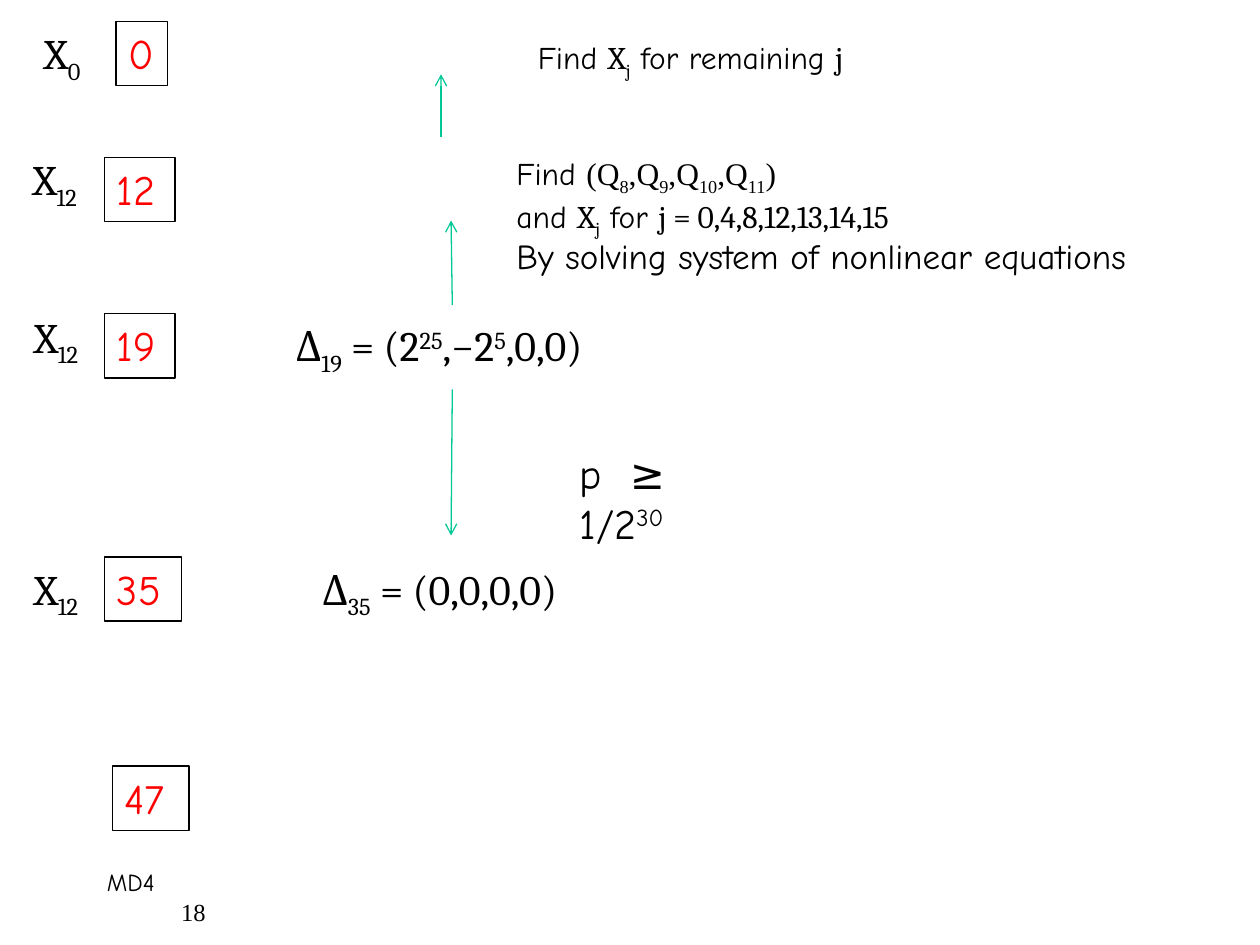
from pptx import Presentation
from pptx.dml.color import RGBColor
from pptx.enum.shapes import MSO_CONNECTOR as Conn, MSO_SHAPE as Shape
from pptx.enum.text import MSO_ANCHOR as Anchor, PP_ALIGN as Align
from pptx.oxml.ns import qn
from pptx.util import Inches, Pt
from lxml.etree import SubElement

BLACK = RGBColor(0, 0, 0)
RED = RGBColor(255, 0, 0)
GREEN = RGBColor(0, 200, 150)
COMIC, CAMB, TIMES = "Comic Neue", "Cambria", "Times New Roman"
SUB, SUP = -25, 30

# step number: left, top, width
STEPS = [
    ("0", 0.92, 0.17, 0.41),
    ("12", 0.83, 1.25, 0.56),
    ("19", 0.83, 2.49, 0.56),
    ("35", 0.83, 4.42, 0.61),
    ("47", 0.89, 6.08, 0.61),
]
# index of X: left, top, width
INPUTS = [
    ("0", 0.25, 0.17, 0.55),
    ("12", 0.16, 1.17, 0.68),
    ("12", 0.17, 2.42, 0.68),
    ("12", 0.17, 4.42, 0.68),
]
# from, to
ARROWS = [
    ((3.5, 1.09), (3.5, 0.59)),
    ((3.59, 2.42), (3.58, 1.75)),
    ((3.59, 3.09), (3.58, 4.25)),
]
XJ = [("X", CAMB), ("j", CAMB, SUB)]
QS = [("(Q", TIMES), ("8", TIMES, SUB), (",Q", TIMES), ("9", TIMES, SUB),
      (",Q", TIMES), ("10", TIMES, SUB), (",Q", TIMES), ("11", TIMES, SUB),
      (")", TIMES)]
# place, text size, paragraphs of (text, font, baseline)
NOTES = [
    ((4.17, 0.25, 2.85, 0.4), 18,
     [[("Find ", COMIC), *XJ, (" for remaining ", COMIC), ("j", CAMB)]]),
    ((4, 1.17, 5.25, 0.71), 18,
     [[("Find ", COMIC), *QS],
      [("and ", COMIC), *XJ, (" for ", COMIC),
       ("j = 0,4,8,12,13,14,15", CAMB)]]),
    ((4, 1.81, 5.83, 0.44), 20,
     [[("By solving system of nonlinear equations", COMIC)]]),
    ((2.25, 2.49, 2.95, 0.51), 24,
     [[("Δ", CAMB), ("19", CAMB, SUB), (" = (2", CAMB), ("25", CAMB, SUP),
       (",−2", CAMB), ("5", CAMB, SUP), (",0,0)", CAMB)]]),
    ((2.46, 4.42, 2.29, 0.51), 24,
     [[("Δ", CAMB), ("35", CAMB, SUB), (" = (0,0,0,0)", CAMB)]]),
    ((0.75, 6.83, 1.5, 0.3), 14, [[("MD4", COMIC)]]),
    ((1.34, 7.07, 0.6, 0.3), 14, [[("18", TIMES)]]),
]
ODDS = [[("p\t≥", COMIC)], [("1/2", COMIC), ("30", COMIC, SUP)]]


def write(shape, size, paras, color=BLACK):
    frame = shape.text_frame
    frame.word_wrap = True
    frame.vertical_anchor = Anchor.TOP
    for i, runs in enumerate(paras):
        para = frame.add_paragraph() if i else frame.paragraphs[0]
        para.alignment = Align.LEFT
        for text, face, *base in runs:
            run = para.add_run()
            run.text = text
            font = run.font
            font.name, font.size = face, Pt(size)
            font.color.rgb = color
            if base:
                font._element.set("baseline", str(base[0] * 1000))


def add_note(slide, place, size, paras):
    box = slide.shapes.add_textbox(*map(Inches, place))
    write(box, size, paras)
    return box


def add_step(slide, num, left, top, width):
    box = slide.shapes.add_shape(
        Shape.RECTANGLE, *map(Inches, (left, top, width, 0.51)))
    box.shadow.inherit = False
    box.fill.background()
    box.line.color.rgb = BLACK
    box.line.width = Pt(0.75)
    write(box, 24, [[(num, COMIC)]], RED)


def add_arrow(slide, start, end):
    line = slide.shapes.add_connector(
        Conn.STRAIGHT, *map(Inches, start + end))
    line.line.color.rgb = GREEN
    line.line.width = Pt(0.75)
    SubElement(line.line._get_or_add_ln(), qn("a:tailEnd"), type="arrow")
    SubElement(line._element.spPr, qn("a:effectLst"))


def add_tab(para, inches):
    tabs = SubElement(para._p.get_or_add_pPr(), qn("a:tabLst"))
    SubElement(tabs, qn("a:tab"), pos=str(Inches(inches)), algn="l")


def main():
    deck = Presentation()
    deck.slide_width, deck.slide_height = Inches(10), Inches(7.5)
    slide = deck.slides.add_slide(deck.slide_layouts[6])
    for step in STEPS:
        add_step(slide, *step)
    for num, left, top, width in INPUTS:
        add_note(slide, (left, top, width, 0.51), 24,
                 [[("X", CAMB), (num, CAMB, SUB)]])
    for note in NOTES:
        add_note(slide, *note)
    odds = add_note(slide, (4.5, 3.5, 1.71, 0.9), 24, ODDS)
    add_tab(odds.text_frame.paragraphs[0], 0.4)
    for start, end in ARROWS:
        add_arrow(slide, start, end)
    deck.save("out.pptx")


if __name__ == "__main__":
    main()
